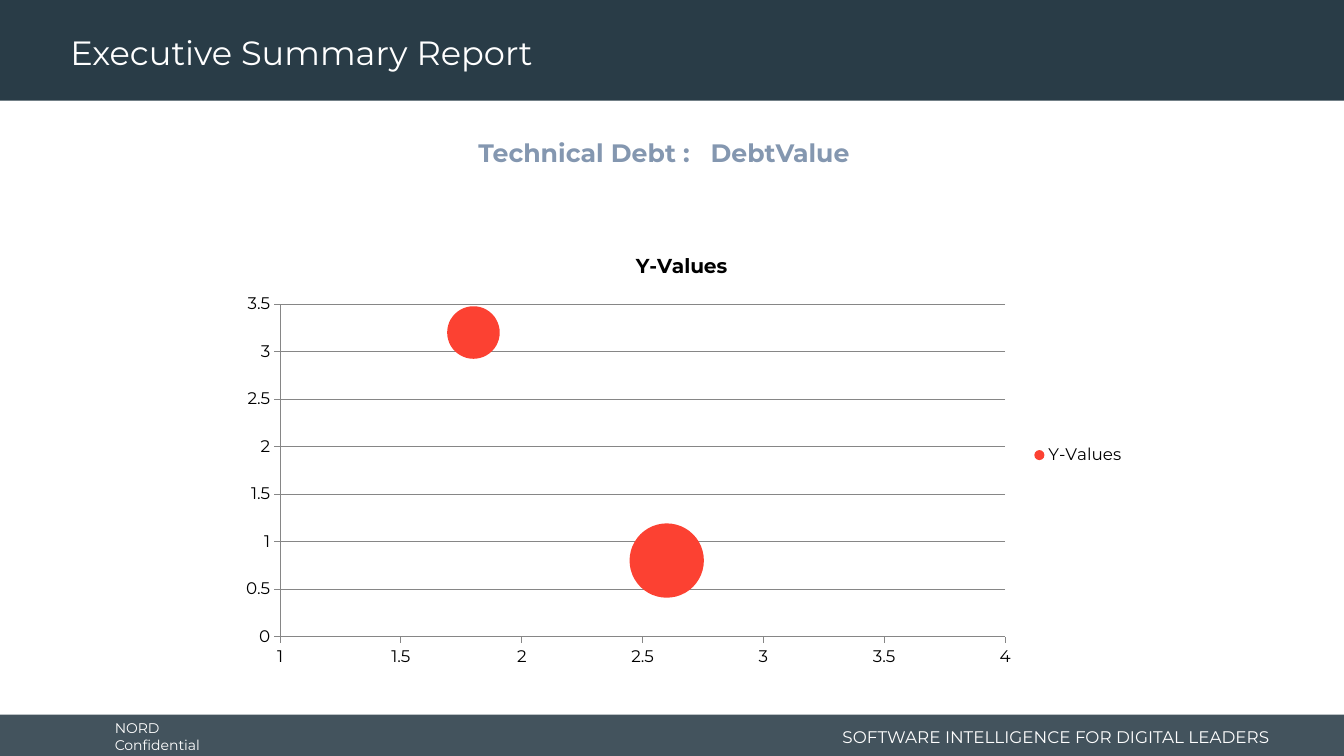
import pptx
import pptx.chart.data
import pptx.dml.color
import pptx.enum.chart
import pptx.enum.shapes
import pptx.enum.text
import pptx.oxml
import pptx.oxml.ns
import pptx.util

FONT = "Montserrat"
COLORS = {"navy": "293C47", "white": "FFFFFF", "steel": "8497B0",
          "red": "FC4132", "black": "000000", "grid": "868686"}
SLIDE_SIZE = (13.33, 7.5)
LEFT = pptx.enum.text.PP_ALIGN.LEFT
RIGHT = pptx.enum.text.PP_ALIGN.RIGHT
MIDDLE = pptx.enum.text.MSO_ANCHOR.MIDDLE
TOP = pptx.enum.text.MSO_ANCHOR.TOP

# box, opacity in percent
BANDS = [((0, 7.09, 13.33, 0.44), 88), ((0, 0, 13.33, 1), 100)]

# text, box, size, colour, bold, alignment, anchor, wrap
LABELS = [
    ("NORD Confidential", (1.04, 7.11, 1.48, 0.4), 10, "white", False, LEFT, MIDDLE, False),
    ("SOFTWARE INTELLIGENCE FOR DIGITAL LEADERS", (8.11, 7.15, 4.58, 0.32),
     12, "white", False, RIGHT, MIDDLE, True),
    ("Executive Summary Report", (0.6, 0.04, 9.58, 0.96), 24, "white", False, LEFT, MIDDLE, True),
    ("Technical Debt :", (4.64, 1.31, 2.3, 0.4), 18, "steel", True, RIGHT, TOP, False),
    ("DebtValue", (6.95, 1.31, 2.63, 0.4), 18, "steel", True, LEFT, TOP, True),
]

CHART_BOX = (2.26, 2.33, 9, 4.37)
SERIES_NAME = "Y-Values"
BUBBLES = [(0.7, 2.7, 10), (1.8, 3.2, 4), (2.6, 0.8, 8)]  # x, y, size
X_RANGE, Y_RANGE, STEP = (1, 4), (0, 3.5), 0.5


def rgb(name):
    return pptx.dml.color.RGBColor.from_string(COLORS[name])


def inches(box):
    return [pptx.util.Inches(v) for v in box]


def style_font(font, size, color, bold=False):
    font.name, font.size, font.bold = FONT, pptx.util.Pt(size), bold
    font.color.rgb = rgb(color)


def add_band(slide, box, opacity):
    sp = slide.shapes.add_shape(pptx.enum.shapes.MSO_SHAPE.RECTANGLE, *inches(box))
    sp.shadow.inherit = False
    sp.fill.solid()
    sp.fill.fore_color.rgb = rgb("navy")
    sp.line.fill.background()
    if opacity < 100:
        color = sp.element.find(".//" + pptx.oxml.ns.qn("a:srgbClr"))
        alpha = color.makeelement(pptx.oxml.ns.qn("a:alpha"), {"val": str(opacity * 1000)})
        color.append(alpha)


def add_label(slide, text, box, size, color, bold, align, anchor, wrap):
    tf = slide.shapes.add_textbox(*inches(box)).text_frame
    tf.word_wrap, tf.vertical_anchor = wrap, anchor
    p = tf.paragraphs[0]
    p.text, p.alignment = text, align
    style_font(p.font, size, color, bold)


def style_axis(axis, limits, gridlines):
    axis.minimum_scale, axis.maximum_scale = limits
    axis.major_unit = STEP
    axis.major_tick_mark = pptx.enum.chart.XL_TICK_MARK.OUTSIDE
    axis.has_major_gridlines = gridlines
    axis.tick_labels.number_format = "General"
    axis.tick_labels.number_format_is_linked = False
    lines = [axis.format.line]
    if gridlines:
        lines.append(axis.major_gridlines.format.line)
    for line in lines:
        line.color.rgb = rgb("grid")
        line.width = pptx.util.Pt(0.75)


def add_bubble_chart(slide):
    data = pptx.chart.data.BubbleChartData()
    series = data.add_series(SERIES_NAME)
    for bubble in BUBBLES:
        series.add_data_point(*bubble)
    chart = slide.shapes.add_chart(
        pptx.enum.chart.XL_CHART_TYPE.BUBBLE, *inches(CHART_BOX), data).chart
    style_font(chart.font, 12, "black")
    chart.has_title = True
    p = chart.chart_title.text_frame.paragraphs[0]
    p.text = SERIES_NAME
    style_font(p.font, 14.4, "black", True)
    chart.has_legend = True
    chart.legend.position = pptx.enum.chart.XL_LEGEND_POSITION.RIGHT
    chart.legend.include_in_layout = False
    style_axis(chart.category_axis, X_RANGE, False)
    style_axis(chart.value_axis, Y_RANGE, True)
    fmt = chart.plots[0].series[0].format
    fmt.fill.solid()
    fmt.fill.fore_color.rgb = rgb("red")
    fmt.line.fill.background()


def main():
    prs = pptx.Presentation()
    prs.slide_width, prs.slide_height = inches(SLIDE_SIZE)
    slide = prs.slides.add_slide(prs.slide_layouts[6])
    for band in BANDS:
        add_band(slide, *band)
    add_bubble_chart(slide)
    for label in LABELS:
        add_label(slide, *label)
    prs.save("out.pptx")


if __name__ == "__main__":
    main()
